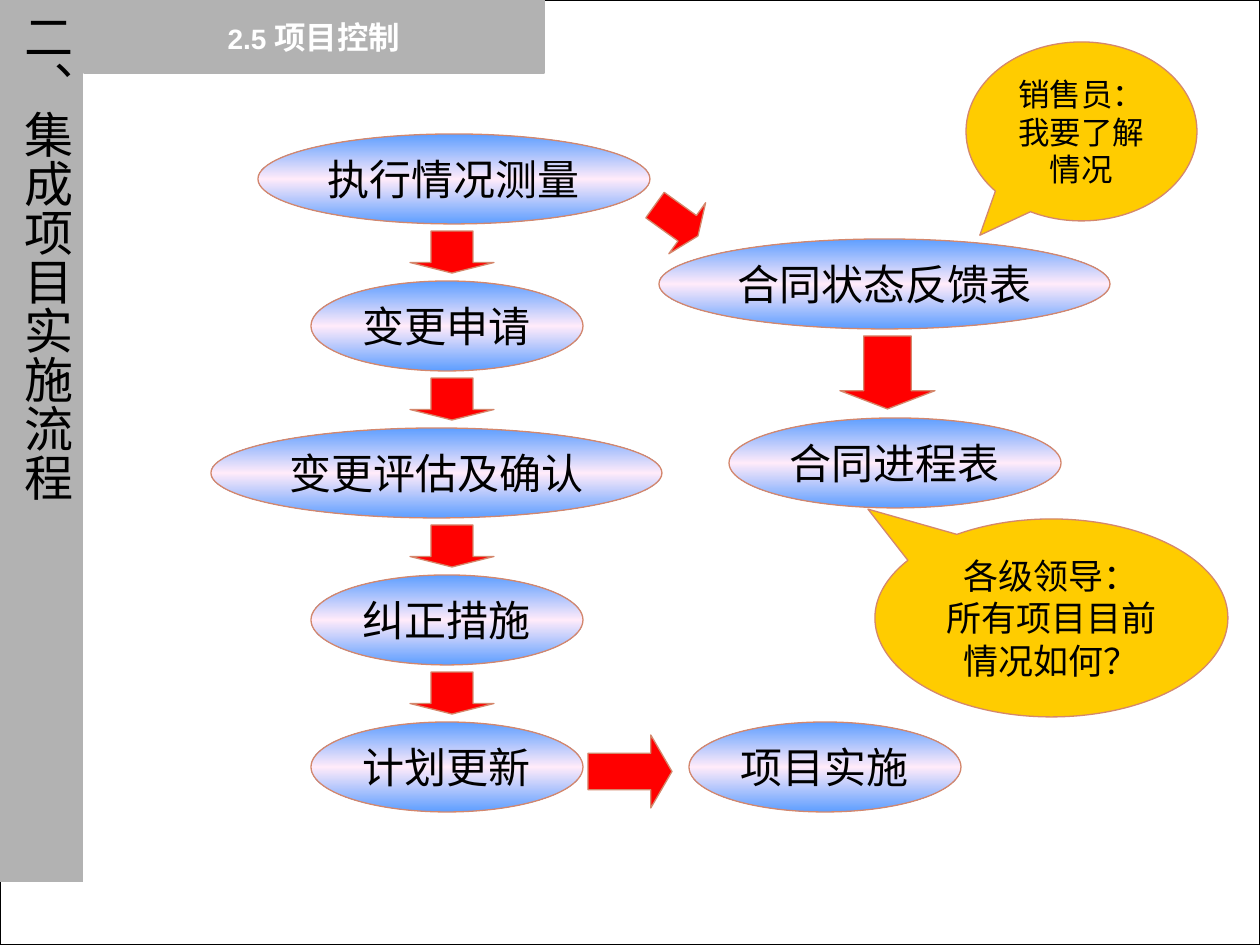
from copy import deepcopy

from pptx import Presentation
from pptx import util as u
from pptx.dml.color import RGBColor
from pptx.enum import shapes, text
from pptx.oxml import ns

SCALE = 914400 / 126
COLORS = {
    "white": "FFFFFF", "black": "000000", "gray": "B2B2B2", "red": "FF0000",
    "yellow": "FFCC00", "outline": "D4876C", "blue": "5E9EFF", "pink": "FFEBFA",
}
KIND = shapes.MSO_SHAPE


def px(n):
    return u.Emu(round(n * SCALE))


def rgb(name):
    return RGBColor.from_string(COLORS[name])


def add_text(p, content, size=24, font="Arial Narrow", color="black", bold=False):
    r = p.add_run()
    r.text = content
    r.font.size = u.Pt(size)
    r.font.name = font
    r.font.bold = bold
    r.font.color.rgb = rgb(color)


class FlowSlide:
    """Style and drawing methods for the project control flow slide."""

    def __init__(self, prs):
        self.slide = prs.slides.add_slide(prs.slide_layouts[6])

    def shape(self, kind, box, fill, line="outline", adj=(), rotation=0):
        sp = self.slide.shapes.add_shape(kind, *map(px, box))
        sp.shadow.inherit = False
        sp.rotation = rotation
        for i, value in enumerate(adj):
            sp.adjustments[i] = value
        sp.fill.solid()
        sp.fill.fore_color.rgb = rgb(fill)
        if line:
            sp.line.color.rgb = rgb(line)
            sp.line.width = u.Pt(0.75)
        else:
            sp.line.fill.background()
        return sp

    def frame(self, sp, inset_x, inset_y, anchor=text.MSO_ANCHOR.MIDDLE, wrap=True):
        tf = sp.text_frame
        tf.word_wrap = wrap
        tf.vertical_anchor = anchor
        tf.margin_left = tf.margin_right = u.Inches(inset_x)
        tf.margin_top = tf.margin_bottom = u.Inches(inset_y)
        tf.paragraphs[0].alignment = text.PP_ALIGN.CENTER
        return tf

    def step(self, label, x, y, w):
        sp = self.shape(KIND.OVAL, (x, y, w, 90), "blue")
        sp.fill.gradient()
        sp.fill.gradient_angle = 90
        for stop in sp.fill.gradient_stops:
            stop.color.rgb = rgb("blue")
        stops = sp.element.spPr.find(".//" + ns.qn("a:gsLst"))
        stops.insert(1, deepcopy(stops[0]))
        middle = sp.fill.gradient_stops[1]
        middle.position = 0.5
        middle.color.rgb = rgb("pink")
        add_text(self.frame(sp, 0.1, 0.05, wrap=False).paragraphs[0], label)

    def arrow(self, box, kind=KIND.DOWN_ARROW, head=0.25, rotation=0):
        self.shape(kind, box, "red", adj=(0.5, head), rotation=rotation)

    def callout(self, lines, box, adj, size):
        sp = self.shape(KIND.OVAL_CALLOUT, box, "yellow", adj=adj)
        tf = self.frame(sp, 0.1, 0.05)
        for i, line in enumerate(lines):
            p = tf.add_paragraph() if i else tf.paragraphs[0]
            p.alignment = text.PP_ALIGN.CENTER
            add_text(p, line, size=size)

    def sidebar(self, title):
        sp = self.shape(KIND.RECTANGLE, (0, 0, 83, 882), "gray", line=None)
        tf = self.frame(sp, 0.05, 0.1, anchor=text.MSO_ANCHOR.TOP)
        tf._txBody.bodyPr.set("vert", "eaVert")
        add_text(tf.paragraphs[0], title, size=28)

    def header(self, number, title):
        sp = self.shape(KIND.RECTANGLE, (84, 0, 460, 73), "gray", line="gray")
        p = self.frame(sp, 0.1, 0.1).paragraphs[0]
        add_text(p, number + " ", size=16, font="Arial", color="white", bold=True)
        add_text(p, title, size=18, font="Noto Sans CJK SC", color="white", bold=True)


def main():
    prs = Presentation()
    prs.slide_width, prs.slide_height = px(1260), px(945)
    s = FlowSlide(prs)
    s.shape(KIND.RECTANGLE, (0, 0, 1260, 945), "white", line="black")

    top, pitch = 134, 147
    main_steps = [
        ("执行情况测量", 258, 392), ("变更申请", 311, 272),
        ("变更评估及确认", 211, 451), ("纠正措施", 311, 272), ("计划更新", 311, 272),
    ]
    for i, (label, x, w) in enumerate(main_steps):
        y = top + i * pitch
        s.step(label, x, y, w)
        if i < len(main_steps) - 1:
            s.arrow((410, y + 97, 84, 42))
    s.step("合同状态反馈表", 659, 239, 451)
    s.step("合同进程表", 729, 418, 332)
    s.step("项目实施", 689, top + 4 * pitch, 272)

    s.arrow((645, 194, 63, 53), rotation=305.8)
    s.arrow((840, 336, 95, 73))
    s.arrow((588, 735, 84, 73), kind=KIND.RIGHT_ARROW, head=0.29)

    s.sidebar("二、集成项目实施流程")
    s.header("2.5", "项目控制")
    s.callout(["销售员：我要了解情况"], (966, 42, 231, 179), (-0.44, 0.58), 18)
    s.callout(["各级领导：", "所有项目目前情况如何？"], (875, 519, 353, 198), (-0.52, -0.55), 20)
    prs.save("out.pptx")


if __name__ == "__main__":
    main()
